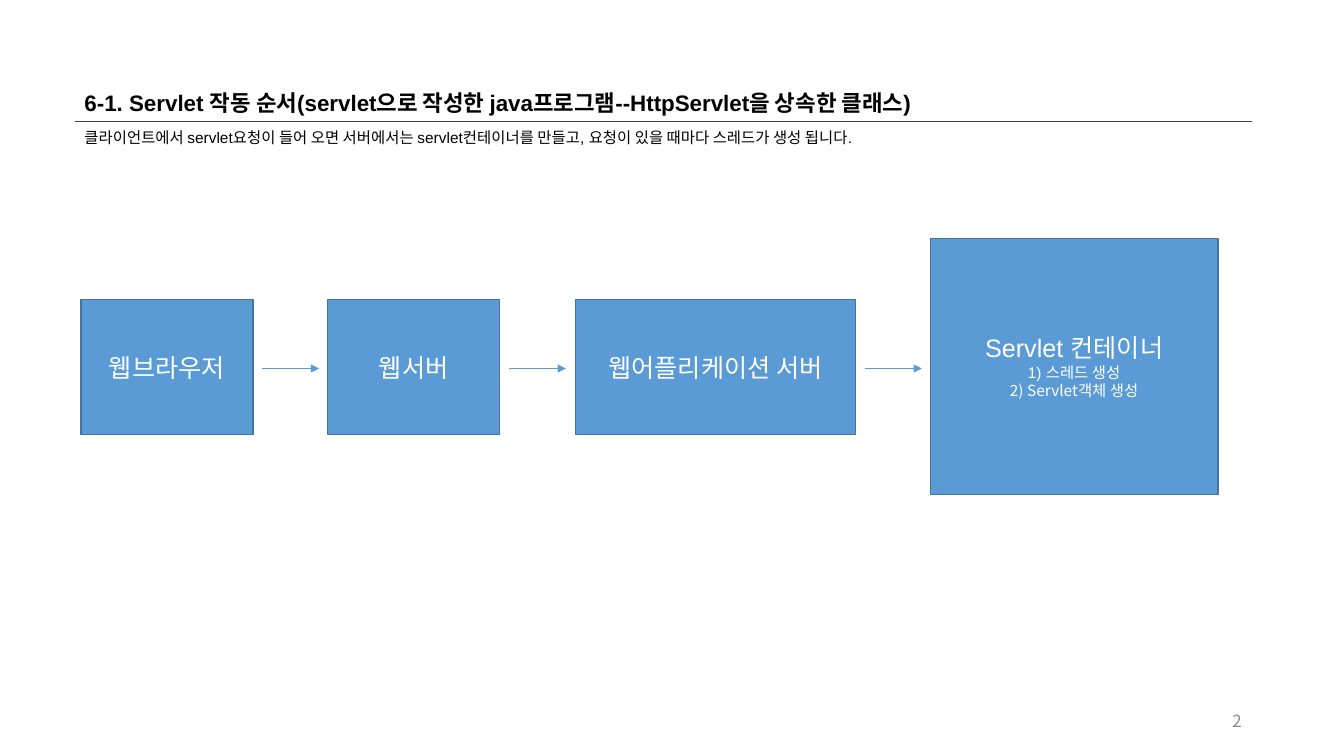
from lxml.etree import SubElement
from pptx import Presentation
from pptx.dml.color import RGBColor
from pptx.enum.shapes import MSO_CONNECTOR, MSO_SHAPE
from pptx.enum.text import MSO_ANCHOR as ANCHOR, PP_ALIGN as ALIGN
from pptx.oxml.ns import qn
from pptx.util import Pt

PX = 9525  # EMU per px, 96 px to the inch
LATIN, KOREAN = "Arial", "Noto Sans CJK KR"
COLORS = {
    "text": "000000",
    "number": "8C8C8C",
    "rule": "404040",
    "box": "5B9BD5",
    "edge": "43739E",
    "label": "FFFFFF",
}


def write(shape, lines, color, align=ALIGN.LEFT, anchor=ANCHOR.TOP, bold=False):
    """Fill a shape with one paragraph per (text, size, font) line."""
    frame = shape.text_frame
    frame.word_wrap = True
    frame.vertical_anchor = anchor
    for index, (text, size, font) in enumerate(lines):
        paragraph = frame.add_paragraph() if index else frame.paragraphs[0]
        paragraph.text = text
        paragraph.alignment = align
        paragraph.font.size = Pt(size)
        paragraph.font.bold = bold
        paragraph.font.color.rgb = RGBColor.from_string(COLORS[color])
        paragraph.font.name = font
        defaults = paragraph._p.pPr.find(qn("a:defRPr"))
        SubElement(defaults, qn("a:ea"), typeface=KOREAN)


def draw_line(left, right, y, color, width):
    line = slide.shapes.add_connector(
        MSO_CONNECTOR.STRAIGHT, left * PX, y * PX, right * PX, y * PX)
    line.line.color.rgb = RGBColor.from_string(COLORS[color])
    line.line.width = Pt(width)
    SubElement(line._element.spPr, qn("a:effectLst"))
    return line


prs = Presentation()
prs.slide_width, prs.slide_height = 1280 * PX, 720 * PX
slide = prs.slides.add_slide(prs.slide_layouts[6])

# Heading, rule, summary and page number
LEFT, WIDTH = 71, 1121
heading = slide.shapes.add_textbox(LEFT * PX, 80 * PX, WIDTH * PX, 36 * PX)
write(heading, [("6-1. Servlet 작동 순서(servlet으로 작성한 java프로그램--HttpServlet을 상속한 클래스)",
                 16, LATIN)], "text", bold=True)
draw_line(LEFT, LEFT + WIDTH, 116, "rule", 1)
summary = slide.shapes.add_textbox(LEFT * PX, 117 * PX, WIDTH * PX, 28 * PX)
write(summary, [("클라이언트에서 servlet요청이 들어 오면 서버에서는 servlet컨테이너를 만들고, "
                 "요청이 있을 때마다 스레드가 생성 됩니다.", 11, LATIN)], "text")
page_number = slide.shapes.add_textbox(904 * PX, 667 * PX, 288 * PX, 38 * PX)
write(page_number, [("2", 12, KOREAN)], "number", ALIGN.RIGHT, ANCHOR.MIDDLE)

# Request flow: boxes on one centre line, an arrow after each but the last
CENTER_Y, ARROW_GAP, ARROW_LENGTH = 349, 9, 54
stages = [
    (77, 164, 129, [("웹브라우저", 18, LATIN)]),
    (312, 164, 129, [("웹서버", 18, LATIN)]),
    (548, 267, 129, [("웹어플리케이션 서버", 18, LATIN)]),
    (886, 274, 244, [("Servlet 컨테이너", 18, LATIN),
                     ("1) 스레드 생성", 11, LATIN),
                     ("2) Servlet객체 생성", 11, KOREAN)]),
]
for left, width, height, lines in stages:
    stage = slide.shapes.add_shape(
        MSO_SHAPE.RECTANGLE, left * PX, (CENTER_Y - height // 2) * PX,
        width * PX, height * PX)
    stage.shadow.inherit = False
    stage.fill.solid()
    stage.fill.fore_color.rgb = RGBColor.from_string(COLORS["box"])
    stage.line.color.rgb = RGBColor.from_string(COLORS["edge"])
    stage.line.width = Pt(1)
    write(stage, lines, "label", ALIGN.CENTER, ANCHOR.MIDDLE)

for left, width, _, _ in stages[:-1]:
    start = left + width + ARROW_GAP
    arrow = draw_line(start, start + ARROW_LENGTH, CENTER_Y + 2, "box", 0.5)
    SubElement(arrow.line._get_or_add_ln(), qn("a:tailEnd"), type="triangle")

prs.save("out.pptx")
